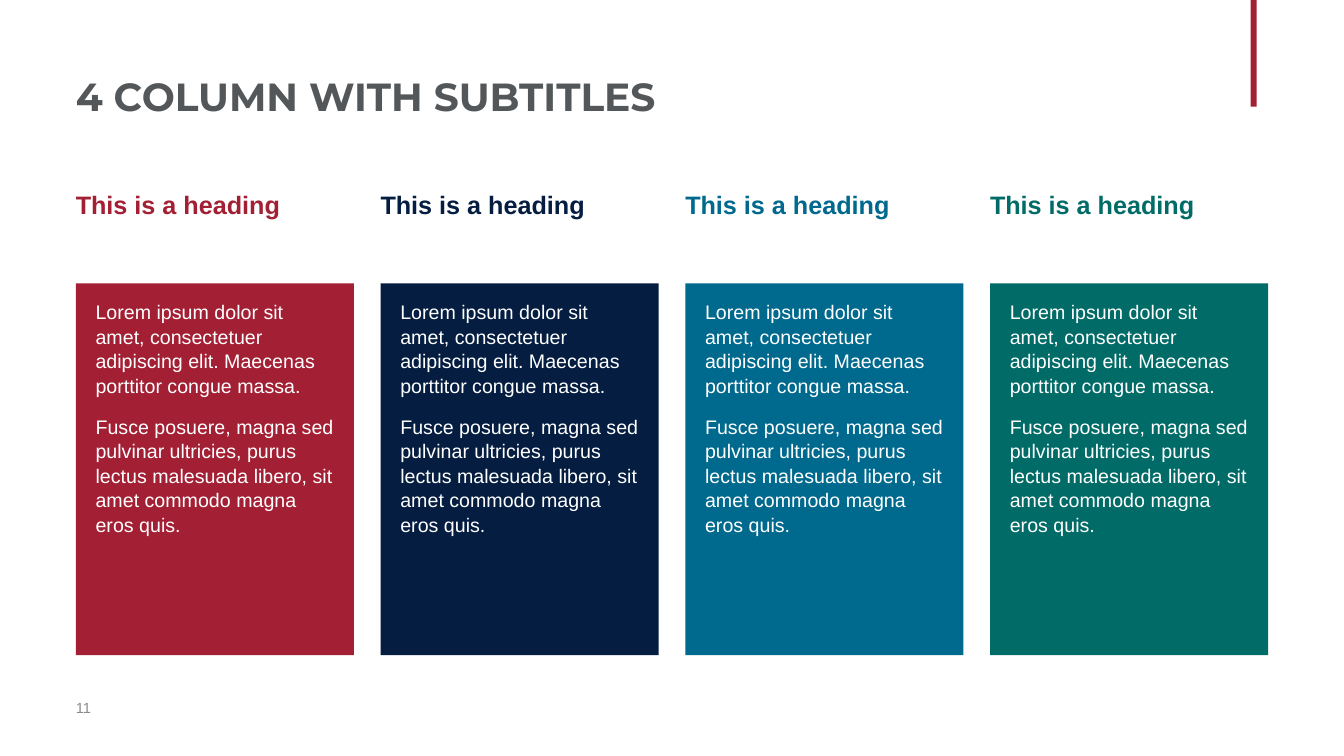
from pptx import Presentation
from pptx.dml.color import RGBColor
from pptx.enum.shapes import MSO_SHAPE
from pptx.enum.text import MSO_ANCHOR, PP_ALIGN
from pptx.util import Cm, Pt

RECTANGLE = MSO_SHAPE.RECTANGLE
TOP, MIDDLE = MSO_ANCHOR.TOP, MSO_ANCHOR.MIDDLE
LEFT = PP_ALIGN.LEFT

RED, NAVY, BLUE, GREEN = "A31F34", "041D40", "00698E", "006B67"
WHITE, TITLE_GRAY, NUMBER_GRAY = "FFFFFF", "545759", "8A8B8C"

MARGIN = 1.91
COLUMN_WIDTH = 7.01
COLUMN_PITCH = 7.68
HEADING_TOP, HEADING_HEIGHT = 4.78, 2.36
PANEL_HEIGHT = 9.37

HEADING = "This is a heading"
BODY = [
    "Lorem ipsum dolor sit amet, consectetuer adipiscing elit. "
    "Maecenas porttitor congue massa.",
    "Fusce posuere, magna sed pulvinar ultricies, purus lectus malesuada "
    "libero, sit amet commodo magna eros quis.",
]


def rgb(hex_color):
    return RGBColor.from_string(hex_color)


class SlideBuilder:
    """Holds the text style and the current slide; all lengths are in cm."""

    title_font = "Montserrat"
    body_font = "Arial"

    def __init__(self, slide):
        self.slide = slide

    def fill_text(self, shape, paragraphs, size, color, insets, font=None,
                  bold=False, anchor=TOP, space_after=0, line_spacing=1.0):
        frame = shape.text_frame
        frame.word_wrap = True
        frame.vertical_anchor = anchor
        (frame.margin_left, frame.margin_top,
         frame.margin_right, frame.margin_bottom) = map(Cm, insets)
        for index, text in enumerate(paragraphs):
            paragraph = frame.add_paragraph() if index else frame.paragraphs[0]
            paragraph.alignment = LEFT
            paragraph.space_after = Pt(space_after)
            paragraph.line_spacing = line_spacing
            run = paragraph.add_run()
            run.text = text
            run.font.name = font or self.body_font
            run.font.size = Pt(size)
            run.font.bold = bold
            run.font.color.rgb = rgb(color)

    def rectangle(self, left, top, width, height, color):
        shape = self.slide.shapes.add_shape(
            RECTANGLE, Cm(left), Cm(top), Cm(width), Cm(height))
        shape.shadow.inherit = False
        shape.fill.solid()
        shape.fill.fore_color.rgb = rgb(color)
        shape.line.fill.background()
        return shape

    def text(self, left, top, width, height, content, size, color, **style):
        box = self.slide.shapes.add_textbox(
            Cm(left), Cm(top), Cm(width), Cm(height))
        self.fill_text(box, [content], size, color, **style)

    def title(self, content):
        self.text(MARGIN, 0.84, 24.94, 3.15, content, 28, TITLE_GRAY,
                  insets=(0, 0.13, 0.25, 0.13), font=self.title_font,
                  bold=True, anchor=MIDDLE)

    def page_number(self, number):
        self.text(MARGIN, 17.32, 0.69, 1.02, str(number), 10.5, NUMBER_GRAY,
                  insets=(0, 0.13, 0, 0.13), anchor=MIDDLE)

    def column(self, index, color):
        """Adds a coloured heading with a filled text panel below it."""
        left = MARGIN + index * COLUMN_PITCH
        self.text(left, HEADING_TOP, COLUMN_WIDTH, HEADING_HEIGHT, HEADING,
                  18, color, insets=(0, 0, 0, 0.13), bold=True, space_after=12)
        panel = self.rectangle(left, HEADING_TOP + HEADING_HEIGHT,
                               COLUMN_WIDTH, PANEL_HEIGHT, color)
        self.fill_text(panel, BODY, 14, WHITE, insets=(0.5, 0.4, 0.5, 0.4),
                       space_after=12, line_spacing=1.04)


def main():
    presentation = Presentation()
    presentation.slide_width = Cm(33.87)
    presentation.slide_height = Cm(19.05)
    slide = presentation.slides.add_slide(presentation.slide_layouts[6])

    builder = SlideBuilder(slide)
    builder.rectangle(31.52, 0, 0.15, 2.69, RED)
    builder.title("4 COLUMN WITH SUBTITLES")
    for index, color in enumerate([RED, NAVY, BLUE, GREEN]):
        builder.column(index, color)
    builder.page_number(11)

    presentation.save("out.pptx")


if __name__ == "__main__":
    main()
